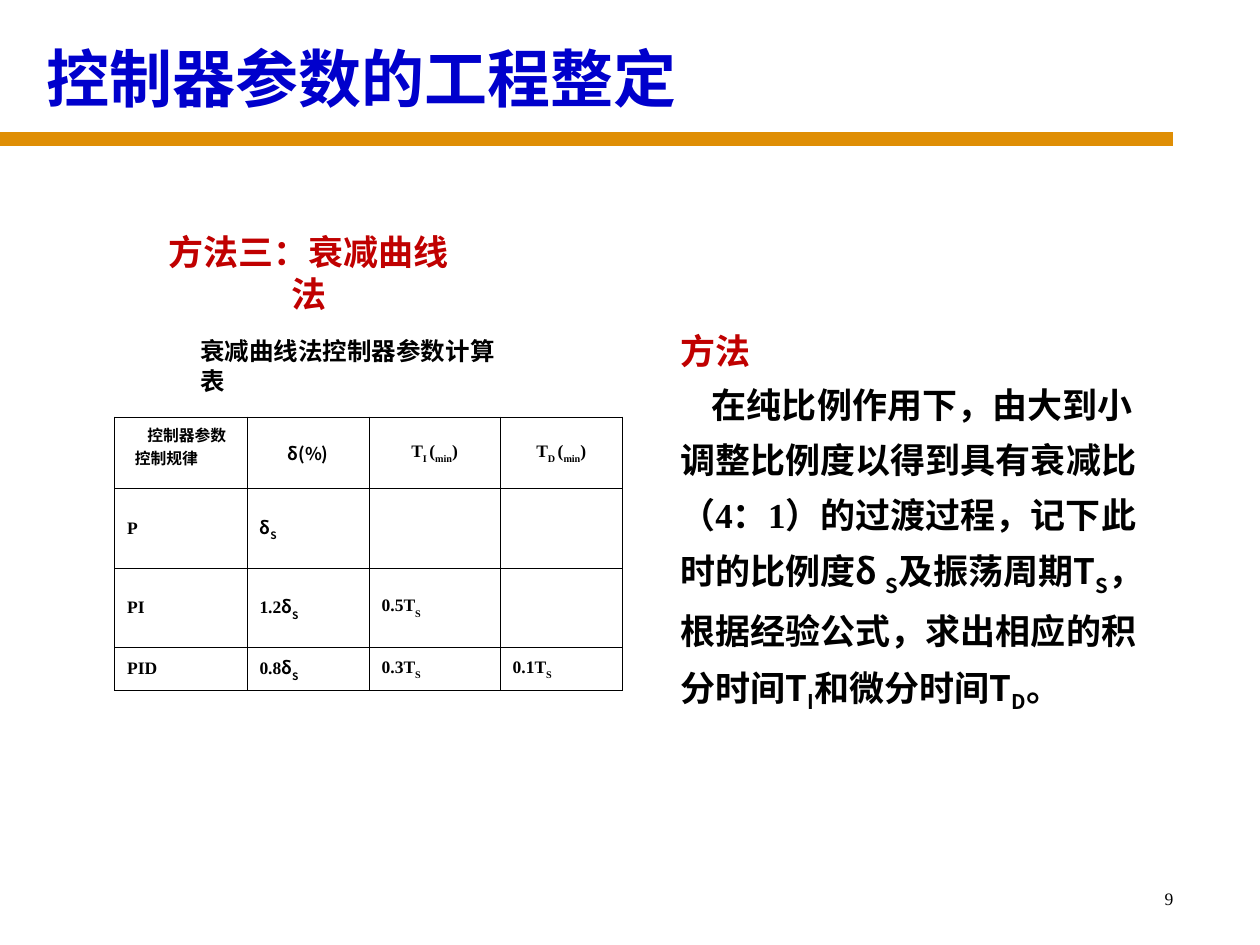
from dataclasses import dataclass

from lxml import etree
from pptx import Presentation
from pptx.dml.color import RGBColor
from pptx.enum.shapes import MSO_CONNECTOR
from pptx.enum.text import MSO_ANCHOR, MSO_AUTO_SIZE, PP_ALIGN
from pptx.oxml import parse_xml
from pptx.oxml.ns import nsdecls, qn
from pptx.util import Inches, Pt


@dataclass(frozen=True)
class Theme:
    sans: str = "Noto Sans CJK SC"
    serif: str = "Times New Roman"
    black: str = "000000"
    blue: str = "0000CC"
    red: str = "C00000"
    orange: str = "DF8E05"
    title: int = 36
    body: int = 20
    caption: int = 14
    cell: int = 10
    small: int = 9


theme = Theme()


def write(paragraph, runs, size, color=theme.black, bold=True, align=PP_ALIGN.LEFT,
          indent=0, line_spacing=None):
    """Fill a paragraph with (text, font name, subscript percent) runs."""
    paragraph.alignment = align
    paragraph.space_before = Pt(0)
    if line_spacing:
        paragraph.line_spacing = line_spacing
    properties = paragraph._p.get_or_add_pPr()
    properties.set("marL", "0")
    properties.set("indent", str(Inches(indent)))
    etree.SubElement(properties, qn("a:buNone"))

    font = paragraph.font
    font.size, font.bold = Pt(size), bold
    font.color.rgb = RGBColor.from_string(color)
    names = {name for _, name, _ in runs}
    if len(names) == 1:
        font.name = names.pop()
    etree.SubElement(font._element, qn("a:ea"), typeface=theme.sans)

    for text, name, subscript in runs:
        run = paragraph.add_run()
        run.text = text
        if font.name is None:
            run.font.name = name
            etree.SubElement(run.font._element, qn("a:ea"), typeface=theme.sans)
        if subscript:
            run.font._element.set("baseline", str(-subscript * 1000))


def place(shape, left, top, width, height):
    shape.left, shape.top = Inches(left), Inches(top)
    shape.width, shape.height = Inches(width), Inches(height)


prs = Presentation()
prs.slide_width, prs.slide_height = Inches(10), Inches(7.5)
slide = prs.slides.add_slide(prs.slide_layouts[1])
shapes = slide.shapes

# Title and rule
title = shapes.title
place(title, 0.27, 0.26, 5.37, 0.7)
title.text_frame.vertical_anchor = MSO_ANCHOR.TOP
title.text_frame.auto_size = MSO_AUTO_SIZE.NONE
write(title.text_frame.paragraphs[0], [("控制器参数的工程整定", theme.sans, 0)],
      theme.title, theme.blue)

rule = shapes.add_connector(MSO_CONNECTOR.STRAIGHT, 0, Inches(1.1), Inches(9.31), Inches(1.1))
rule.line.color.rgb = RGBColor.from_string(theme.orange)
rule.line.width = Pt(8)
etree.SubElement(rule._element.spPr, qn("a:effectLst"))

# Section heading, table caption and page number
labels = [
    ("方法三：衰减曲线法", (1.1, 1.78, 2.7, 0.44), theme.sans, theme.body, theme.red, True,
     PP_ALIGN.CENTER),
    ("衰减曲线法控制器参数计算表", (1.49, 2.62, 2.73, 0.57), theme.serif, theme.caption,
     theme.black, True, PP_ALIGN.LEFT),
    ("9", (7.33, 7, 2.08, 0.5), theme.serif, theme.cell, theme.black, False, PP_ALIGN.RIGHT),
]
for text, box, font_name, size, color, bold, align in labels:
    label = shapes.add_textbox(*map(Inches, box))
    label.text_frame.word_wrap = align == PP_ALIGN.RIGHT
    write(label.text_frame.paragraphs[0], [(text, font_name, 0)], size, color, bold, align)

# Parameter table
column_widths = [1.05, 0.97, 1.04, 0.97]
row_heights = [0.57, 0.63, 0.63, 0.34]
delta_s = [("δ", theme.sans, 0), ("S", theme.sans, 30)]
time_headers = [
    [("T", theme.serif, 0), (f"{letter} ", theme.serif, 30), ("(", theme.serif, 0),
     ("min", theme.serif, 30), (")", theme.serif, 0)]
    for letter in "ID"
]
rows = [[None, [("δ(%)", theme.sans, 0)], *time_headers]]
for law, delta_factor, *time_factors in [("P", ""), ("PI", "1.2", "0.5"),
                                         ("PID", "0.8", "0.3", "0.1")]:
    factor = [(delta_factor, theme.serif, 0)] if delta_factor else []
    times = [[(f"{value}T", theme.serif, 0), ("S", theme.serif, 30)] for value in time_factors]
    blanks = [None] * (2 - len(times))
    rows.append([[(law, theme.serif, 0)], factor + delta_s, *times, *blanks])

table = shapes.add_table(4, 4, Inches(0.91), Inches(3.31), Inches(4.03), Inches(2.17)).table
table.first_row = table.horz_banding = False
for column, width in zip(table.columns, column_widths):
    column.width = Inches(width)
for row, height in zip(table.rows, row_heights):
    row.height = Inches(height)

for row_index, row in enumerate(rows):
    for column_index, runs in enumerate(row):
        cell = table.cell(row_index, column_index)
        cell.vertical_anchor = MSO_ANCHOR.MIDDLE
        cell.fill.background()
        for position, side in enumerate(("lnL", "lnR", "lnT", "lnB")):
            cell._tc.get_or_add_tcPr().insert(position, parse_xml(
                f'<a:{side} {nsdecls("a")} w="{Pt(0.45)}"><a:solidFill>'
                f'<a:srgbClr val="{theme.black}"/></a:solidFill></a:{side}>'))
        if runs:
            align = PP_ALIGN.LEFT if row_index else PP_ALIGN.CENTER
            write(cell.text_frame.paragraphs[0], runs, theme.cell, align=align)

corner = table.cell(0, 0)
corner.vertical_anchor = MSO_ANCHOR.TOP
write(corner.text_frame.paragraphs[0], [("控制器参数", theme.serif, 0)], theme.small, indent=0.16)
write(corner.text_frame.add_paragraph(), [("控制规律", theme.serif, 0)], theme.small, indent=0.06)

# Method description
method = slide.placeholders[1]
place(method, 5.3, 2.43, 3.99, 3.75)
method_frame = method.text_frame
method_frame.auto_size = MSO_AUTO_SIZE.SHAPE_TO_FIT_TEXT
method_frame.vertical_anchor = MSO_ANCHOR.MIDDLE
method_frame.margin_bottom = Inches(0.48)
write(method_frame.paragraphs[0], [("方法", theme.serif, 0)], theme.body, theme.red,
      line_spacing=1.3)
description = [
    ("在纯比例作用下，由大到小调整比例度以得到具有衰减比（4：1）的过渡过程，记下此时的比例度",
     theme.serif, 0),
    ("δ ", theme.sans, 0), ("S", theme.sans, 25),
    ("及振荡周期T", theme.sans, 0), ("S", theme.sans, 25),
    ("，根据经验公式，求出相应的积分时间T", theme.sans, 0), ("I", theme.sans, 25),
    ("和微分时间T", theme.sans, 0), ("D", theme.sans, 25), ("。", theme.sans, 0),
]
write(method_frame.add_paragraph(), description, theme.body, indent=0.25, line_spacing=1.3)

prs.save("out.pptx")
